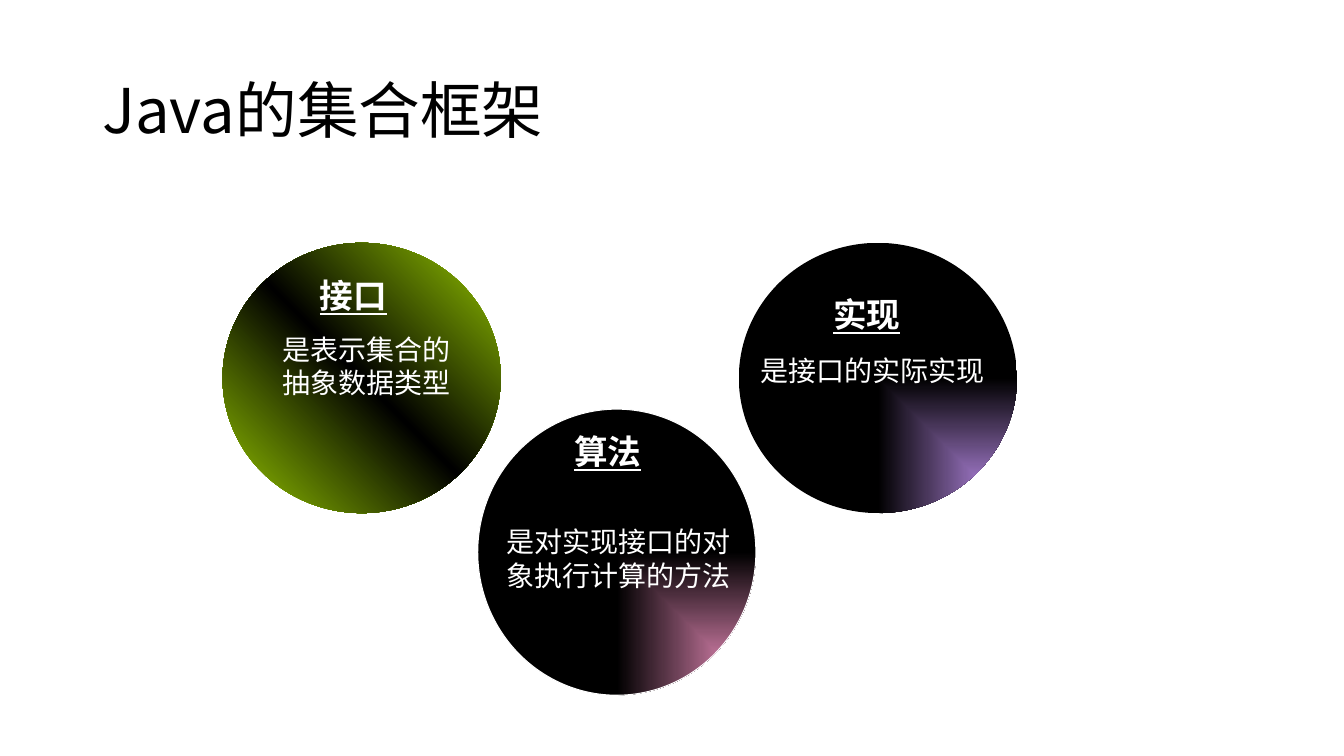
import pptx
import pptx.dml.color
import pptx.enum.shapes
import pptx.enum.text
import pptx.oxml
import pptx.oxml.ns
import pptx.util
from lxml import etree

Cm = pptx.util.Cm
Pt = pptx.util.Pt
RGBColor = pptx.dml.color.RGBColor
Align = pptx.enum.text.PP_ALIGN
Anchor = pptx.enum.text.MSO_ANCHOR

BLACK = RGBColor(0x00, 0x00, 0x00)
WHITE = RGBColor(0xFF, 0xFF, 0xFF)
GREEN = RGBColor(0x99, 0xCC, 0x00)
PINK = RGBColor(0xFF, 0x99, 0xCC)
PURPLE = RGBColor(0xCC, 0x99, 0xFF)

TITLE_FONT = {"name": "Noto Sans CJK SC", "size": Pt(44)}
HEADING_FONT = {"name": "Arial", "size": Pt(24), "bold": True, "underline": True}
BODY_FONT = {"name": "Arial", "size": Pt(20)}

DIAGONAL = '<a:lin ang="18900000" scaled="1"/>'
CORNER = '<a:path path="rect"><a:fillToRect l="100000" t="100000"/></a:path>'

# Boxes are left, top, width, height in cm; the text boxes are relative to their circle.
CIRCLES = [
    {"box": (5.61, 6.12, 7.01, 6.81), "colors": (GREEN, BLACK, GREEN), "direction": DIAGONAL,
     "heading": ("接口", (1.55, 0.69, 3.5, 1.27)),
     "body": ("是表示集合的抽象数据类型", (1.09, 2.13, 5.08, 1.96))},
    {"box": (12.04, 10.31, 7.01, 7.21), "colors": (PINK, BLACK), "direction": CORNER,
     "outline": WHITE,
     "heading": ("算法", (1.53, 0.43, 3.5, 1.27)),
     "body": ("是对实现接口的对象执行计算的方法", (0.38, 2.79, 6.35, 1.96))},
    {"box": (18.62, 6.12, 7.01, 6.81), "colors": (PURPLE, BLACK), "direction": CORNER,
     "heading": ("实现", (1.48, 1.17, 3.5, 1.27)),
     "body": ("是接口的实际实现", (0.2, 2.67, 6.35, 1.09))},
]


def add_text(s, text, box, font, color, align=Align.CENTER, anchor=Anchor.TOP):
    tf = s.shapes.add_textbox(*map(Cm, box)).text_frame
    tf.word_wrap = True
    tf.vertical_anchor = anchor
    p = tf.paragraphs[0]
    p.alignment = align
    r = p.add_run()
    r.text = text
    for name, value in font.items():
        setattr(r.font, name, value)
    r.font.color.rgb = color
    return p


def set_gradient(sp, colors, direction):
    """Fill with evenly spaced colour stops along the given direction element."""
    sp.fill.gradient()
    grad = sp._element.spPr.find(pptx.oxml.ns.qn("a:gradFill"))
    stops = "".join(
        f'<a:gs pos="{i * 100000 // (len(colors) - 1)}"><a:srgbClr val="{color}"/></a:gs>'
        for i, color in enumerate(colors))
    new = etree.fromstring(
        f'<a:gradFill {pptx.oxml.ns.nsdecls("a")} rotWithShape="1">'
        f"<a:gsLst>{stops}</a:gsLst>{direction}</a:gradFill>")
    grad[:] = list(new)


def add_title(s, box):
    p = add_text(s, "Java的集合框架", box, TITLE_FONT, BLACK, Align.LEFT, Anchor.MIDDLE)
    p.line_spacing = 0.9


def add_circle(s, box, colors, direction, heading, body, outline=None):
    sp = s.shapes.add_shape(pptx.enum.shapes.MSO_SHAPE.OVAL, *map(Cm, box))
    sp.shadow.inherit = False
    set_gradient(sp, colors, direction)
    if outline is None:
        sp.line.fill.background()
    else:
        sp.line.color.rgb = outline
        sp.line.width = Pt(0.75)
    for (text, (dx, dy, w, h)), font in ((heading, HEADING_FONT), (body, BODY_FONT)):
        add_text(s, text, (box[0] + dx, box[1] + dy, w, h), font, WHITE)


def main():
    prs = pptx.Presentation()
    prs.slide_width, prs.slide_height = Cm(33.87), Cm(19.05)
    s = prs.slides.add_slide(prs.slide_layouts[6])
    add_title(s, (2.33, 1.01, 29.21, 3.68))
    for circle in CIRCLES:
        add_circle(s, **circle)
    prs.save("out.pptx")


if __name__ == "__main__":
    main()
